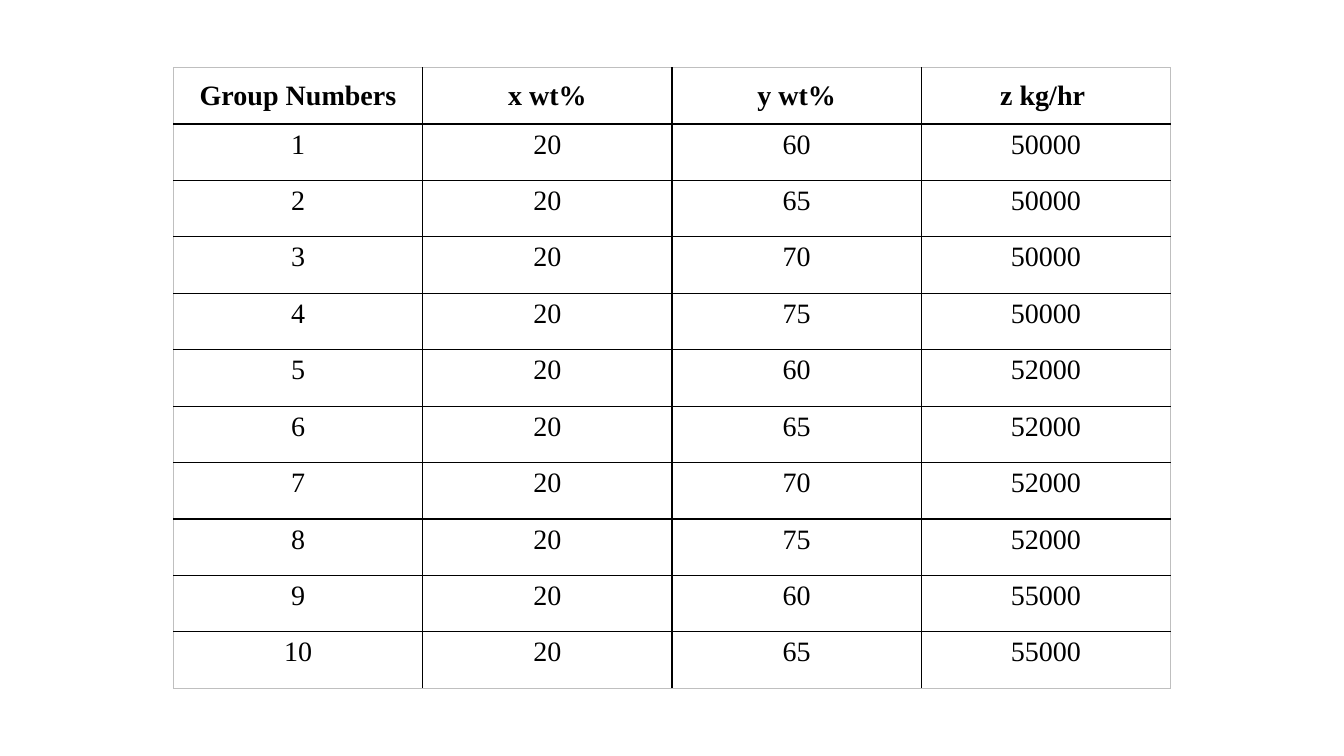
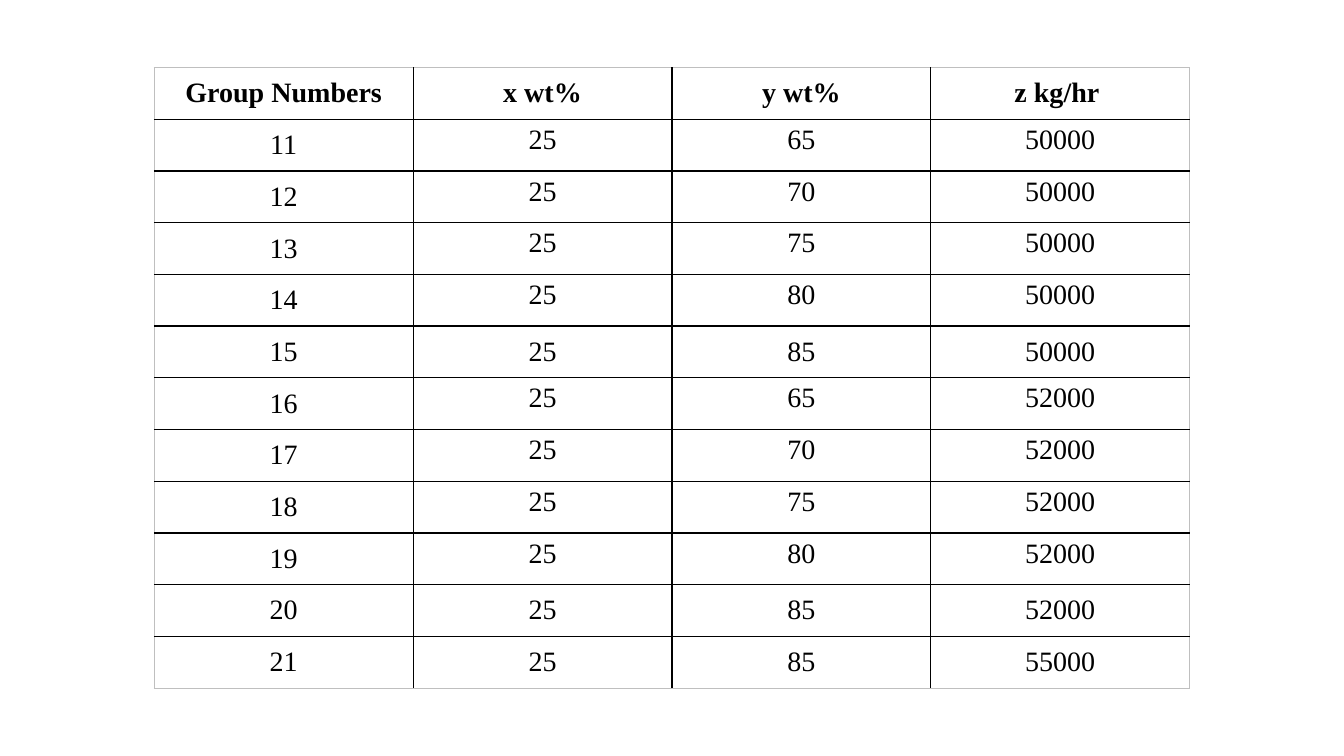
from dataclasses import dataclass

from lxml.etree import SubElement
from pptx import Presentation
from pptx.dml.color import RGBColor as Rgb
from pptx.enum.text import MSO_ANCHOR as Anchor, PP_ALIGN as Align
from pptx.oxml.ns import qn
from pptx.util import Pt

PX = 9144
SLIDE_W, SLIDE_H = 1333, 750
TABLE_TOP, TABLE_H = 67, 616
HEADINGS = ("Group Numbers", "x wt%", "y wt%", "z kg/hr ")


@dataclass(frozen=True)
class Theme:
    """Colours, type and line widths shared by the slides."""
    font: str = "Times New Roman"
    size: int = 20
    ink: str = "000000"
    paper: str = "FFFFFF"
    frame: str = "BFBFBF"
    rule_width: float = 1
    frame_width: float = 0.5


THEME = Theme()


@dataclass(frozen=True)
class GroupSet:
    """Groups that share one x value, with (y, z) for each group."""
    first: int
    x: int
    feeds: tuple
    width: int
    centre_numbers: bool = False
    centred_y: int = 0

    def rows(self):
        """Return the table rows in group order."""
        return [(number, self.x, y, z)
                for number, (y, z) in enumerate(self.feeds, self.first)]

    def is_centred(self, row, column):
        """Tell whether a body cell has its text in the middle."""
        return row[2] == self.centred_y or (self.centre_numbers and column == 0)


GROUP_SETS = (
    GroupSet(1, 20, ((60, 50000), (65, 50000), (70, 50000), (75, 50000),
                     (60, 52000), (65, 52000), (70, 52000), (75, 52000),
                     (60, 55000), (65, 55000)), width=989),
    GroupSet(11, 25, ((65, 50000), (70, 50000), (75, 50000), (80, 50000), (85, 50000),
                      (65, 52000), (70, 52000), (75, 52000), (80, 52000), (85, 52000),
                      (85, 55000)), width=1027, centre_numbers=True, centred_y=85),
)


def set_borders(cell, outer_sides):
    """Rule the cell, using the frame line on its outer sides."""
    properties = cell._tc.get_or_add_tcPr()
    for position, side in enumerate("LRTB"):
        outer = side in outer_sides
        width = THEME.frame_width if outer else THEME.rule_width
        line = SubElement(properties, qn(f"a:ln{side}"), w=str(Pt(width)))
        fill = SubElement(line, qn("a:solidFill"))
        SubElement(fill, qn("a:srgbClr"), val=THEME.frame if outer else THEME.ink)
        properties.insert(position, line)


def fill_cell(cell, value, bold, centred):
    """Write one value and format its cell."""
    cell.fill.solid()
    cell.fill.fore_color.rgb = Rgb.from_string(THEME.paper)
    cell.vertical_anchor = Anchor.MIDDLE if centred else Anchor.TOP
    cell.text_frame.text = str(value)
    paragraph = cell.text_frame.paragraphs[0]
    paragraph.alignment = Align.CENTER
    font = paragraph.runs[0].font
    font.name, font.size, font.bold = THEME.font, Pt(THEME.size), bold
    font.color.rgb = Rgb.from_string(THEME.ink)


def add_group_table(slide, groups, left, top, width, height):
    """Place the table of groups in the given box."""
    rows = [HEADINGS, *groups.rows()]
    last_row, last_column = len(rows) - 1, len(HEADINGS) - 1
    table = slide.shapes.add_table(
        len(rows), len(HEADINGS), left * PX, top * PX, width * PX, height * PX).table
    table.first_row = table.horz_banding = False
    for column in table.columns:
        column.width = width * PX // len(HEADINGS)
    for r, row in enumerate(rows):
        table.rows[r].height = height * PX // len(rows)
        for c, value in enumerate(row):
            cell = table.cell(r, c)
            heading = r == 0
            fill_cell(cell, value, heading, heading or groups.is_centred(row, c))
            edges = {"L": c == 0, "R": c == last_column, "T": heading, "B": r == last_row}
            set_borders(cell, [side for side, outer in edges.items() if outer])


def add_group_slide(deck, groups):
    """Add a slide with one horizontally centred table of groups."""
    slide = deck.slides.add_slide(deck.slide_layouts[6])
    slide.background.fill.solid()
    slide.background.fill.fore_color.rgb = Rgb.from_string(THEME.paper)
    left = (SLIDE_W - groups.width) // 2
    add_group_table(slide, groups, left, TABLE_TOP, groups.width, TABLE_H)


def main():
    """Build and save the deck."""
    deck = Presentation()
    deck.slide_width, deck.slide_height = SLIDE_W * PX, SLIDE_H * PX
    for groups in GROUP_SETS:
        add_group_slide(deck, groups)
    deck.save("out.pptx")


if __name__ == "__main__":
    main()
